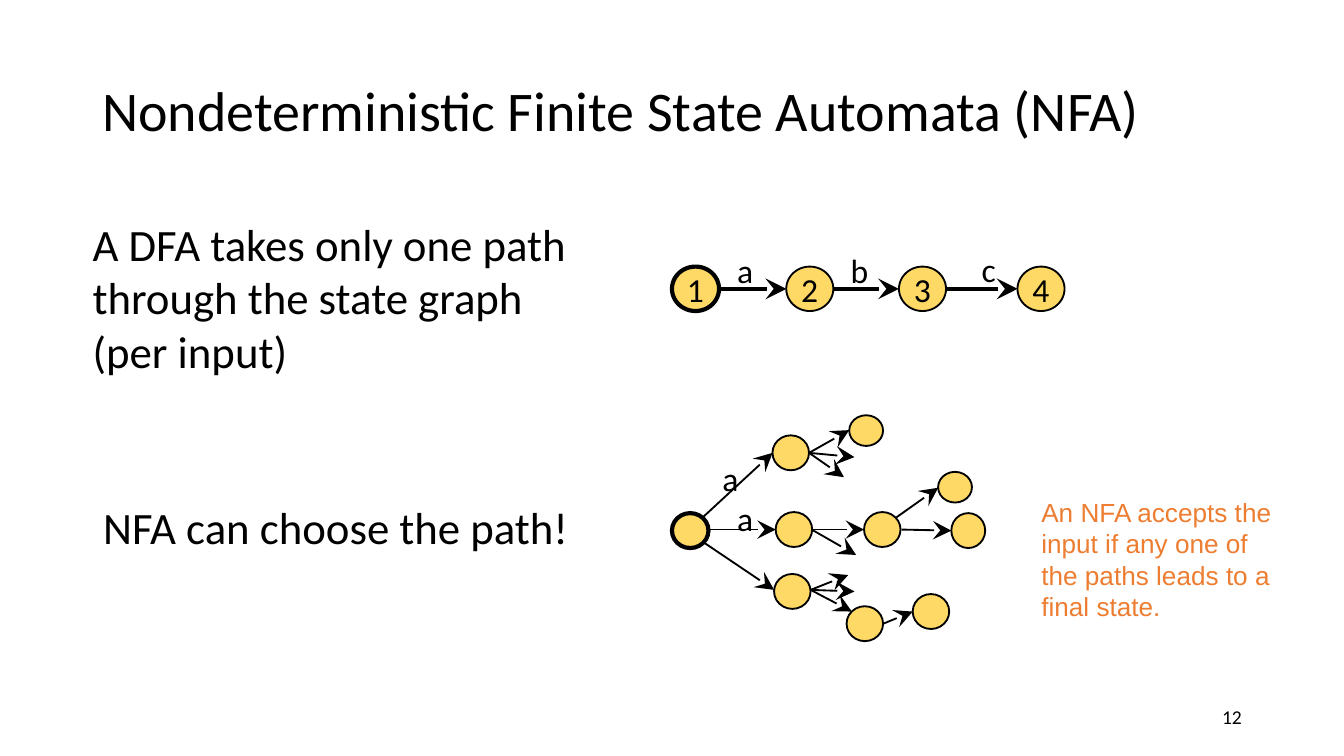
from lxml.etree import SubElement
from pptx import Presentation
from pptx.dml.color import RGBColor
from pptx.enum.shapes import MSO_CONNECTOR, MSO_SHAPE
from pptx.enum.text import MSO_ANCHOR, MSO_AUTO_SIZE, PP_ALIGN
from pptx.oxml.ns import qn
from pptx.util import Cm, Pt

BLACK, YELLOW, ORANGE = "000000", "FFD966", "ED7D31"
NARROW = (0.18, 0.1)
WIDE = (0.25, 0.13)


def color(value):
    return RGBColor.from_string(value)


class SlideBuilder:
    """Holds the shared style and the slide being built."""

    font = "Calibri"
    thin, thick = 1, 2.25

    def __init__(self, slide):
        self.slide = slide

    def format_text(self, shape, text, size, align=PP_ALIGN.LEFT, wrap=True, margins=NARROW,
                    anchor=MSO_ANCHOR.TOP, font=None, fill=BLACK, line_spacing=1.0):
        frame = shape.text_frame
        frame.text = text
        side, end = (Cm(margin) for margin in margins)
        frame_format = {
            "auto_size": MSO_AUTO_SIZE.NONE, "word_wrap": wrap, "vertical_anchor": anchor,
            "margin_left": side, "margin_right": side, "margin_top": end, "margin_bottom": end,
        }
        for name, value in frame_format.items():
            setattr(frame, name, value)
        paragraph = frame.paragraphs[0]
        paragraph_format = {"alignment": align, "space_before": Pt(0), "line_spacing": line_spacing}
        for name, value in paragraph_format.items():
            setattr(paragraph, name, value)
        run_font = paragraph.runs[0].font
        for name, value in {"name": font or self.font, "size": Pt(size)}.items():
            setattr(run_font, name, value)
        run_font.color.rgb = color(fill)

    def place(self, index, box, text, size, **style):
        """Fill and move a template placeholder."""
        shape = self.slide.placeholders[index]
        for name, value in zip(("left", "top", "width", "height"), box):
            setattr(shape, name, Cm(value))
        self.format_text(shape, text, size, **style)
        return shape

    def statement(self, index, box, text):
        shape = self.place(index, box, text, 24, margins=WIDE)
        properties = shape.text_frame.paragraphs[0]._p.get_or_add_pPr()
        properties.set("marL", "0")
        properties.set("indent", "0")
        SubElement(properties, qn("a:buNone"))

    def text(self, box, text, size, **style):
        shape = self.slide.shapes.add_textbox(*map(Cm, box))
        self.format_text(shape, text, size, **style)

    def label(self, left, top, text):
        self.text((left, top, 0.69, 0.97), text, 18, align=PP_ALIGN.CENTER, wrap=False)

    def state(self, left, top, width=0.69, height=0.66, text="", start=False):
        box = map(Cm, (left, top, width, height))
        shape = self.slide.shapes.add_shape(MSO_SHAPE.FLOWCHART_CONNECTOR, *box)
        shape.shadow.inherit = False
        shape.fill.solid()
        shape.fill.fore_color.rgb = color(YELLOW)
        shape.line.color.rgb = color(BLACK)
        shape.line.width = Pt(self.thick if start else self.thin)
        if text:
            self.format_text(shape, text, 18, align=PP_ALIGN.CENTER, wrap=False,
                             anchor=MSO_ANCHOR.MIDDLE)

    def arrow(self, begin, end, width=thin):
        connector = self.slide.shapes.add_connector(
            MSO_CONNECTOR.STRAIGHT, *map(Cm, begin + end))
        connector.line.color.rgb = color(BLACK)
        connector.line.width = Pt(width)
        SubElement(connector.line._get_or_add_ln(), qn("a:tailEnd"),
                   type="stealth", w="lg", len="lg")
        SubElement(connector._element.spPr, qn("a:effectLst"))


def build_chain(builder):
    """Single path of the DFA."""
    width, height, middle = 0.89, 0.84, 5.46
    lefts = (12.7, 14.86, 16.99, 19.23)
    for number, left in enumerate(lefts, 1):
        builder.state(left, middle - height / 2, width, height, str(number), start=number == 1)
    for left, following in zip(lefts, lefts[1:]):
        builder.arrow((left + width, middle), (following, middle), builder.thick)
    for left, top, text in ((13.74, 4.62, "a"), (15.9, 4.62, "b"), (18.34, 4.6, "c")):
        builder.label(left, top, text)


def build_tree(builder):
    """Branching paths of the NFA."""
    builder.state(12.7, 9.7, start=True)
    for left, top in ((14.6, 8.23), (14.66, 9.68), (14.63, 10.85),
                      (16.33, 9.68), (16, 11.46), (17.25, 11.23)):
        builder.state(left, top)
    for left, top, height in ((16.05, 7.85, 0.58), (17.73, 8.92, 0.58), (17.98, 9.7, 0.66)):
        builder.state(left, top, 0.64, height)

    # Each start point with the ends it fans out to
    fans = {
        (13.28, 9.78): [(14.6, 8.56)],
        (13.39, 10.01): [(14.66, 10.01)],
        (13.28, 10.24): [(14.63, 11.15)],
        (15.29, 8.56): [(16.05, 8.13), (16.15, 8.64), (15.95, 9.02)],
        (15.34, 10.01): [(16.33, 10.01), (16.18, 10.49)],
        (15.32, 11.15): [(16.03, 10.87), (16.15, 11.18), (16.1, 11.56)],
        (16.94, 9.78): [(17.73, 9.22)],
        (17.04, 10.01): [(17.98, 10.03)],
        (16.69, 11.79): [(17.25, 11.56)],
    }
    for begin, ends in fans.items():
        for end in ends:
            builder.arrow(begin, end)
    builder.label(13.46, 8.56, "a")
    builder.label(13.74, 9.32, "a")


def main():
    presentation = Presentation()
    presentation.slide_width, presentation.slide_height = Cm(25.4), Cm(14.29)
    builder = SlideBuilder(presentation.slides.add_slide(presentation.slide_layouts[3]))

    # Title and statements
    builder.place(0, (1.75, 0.76, 21.9, 2.77), "Nondeterministic Finite State Automata (NFA)",
                  30, anchor=MSO_ANCHOR.MIDDLE, line_spacing=0.9)
    builder.statement(1, (1.5, 3.96, 10.19, 3.33),
                      "A DFA takes only one path through the state graph (per input)")
    builder.statement(2, (1.7, 9.32, 9.73, 1.27), "NFA can choose the path!")

    # Diagrams
    build_chain(builder)
    build_tree(builder)

    # Remark and page number
    builder.text((19.43, 9.25, 5.05, 2.64),
                 "An NFA accepts the input if any one of the paths leads to a final state.",
                 14, margins=WIDE, font="Arial", fill=ORANGE)
    builder.text((17.93, 13.23, 5.72, 0.76), "12", 10.5, align=PP_ALIGN.RIGHT)

    presentation.save("out.pptx")


if __name__ == "__main__":
    main()
